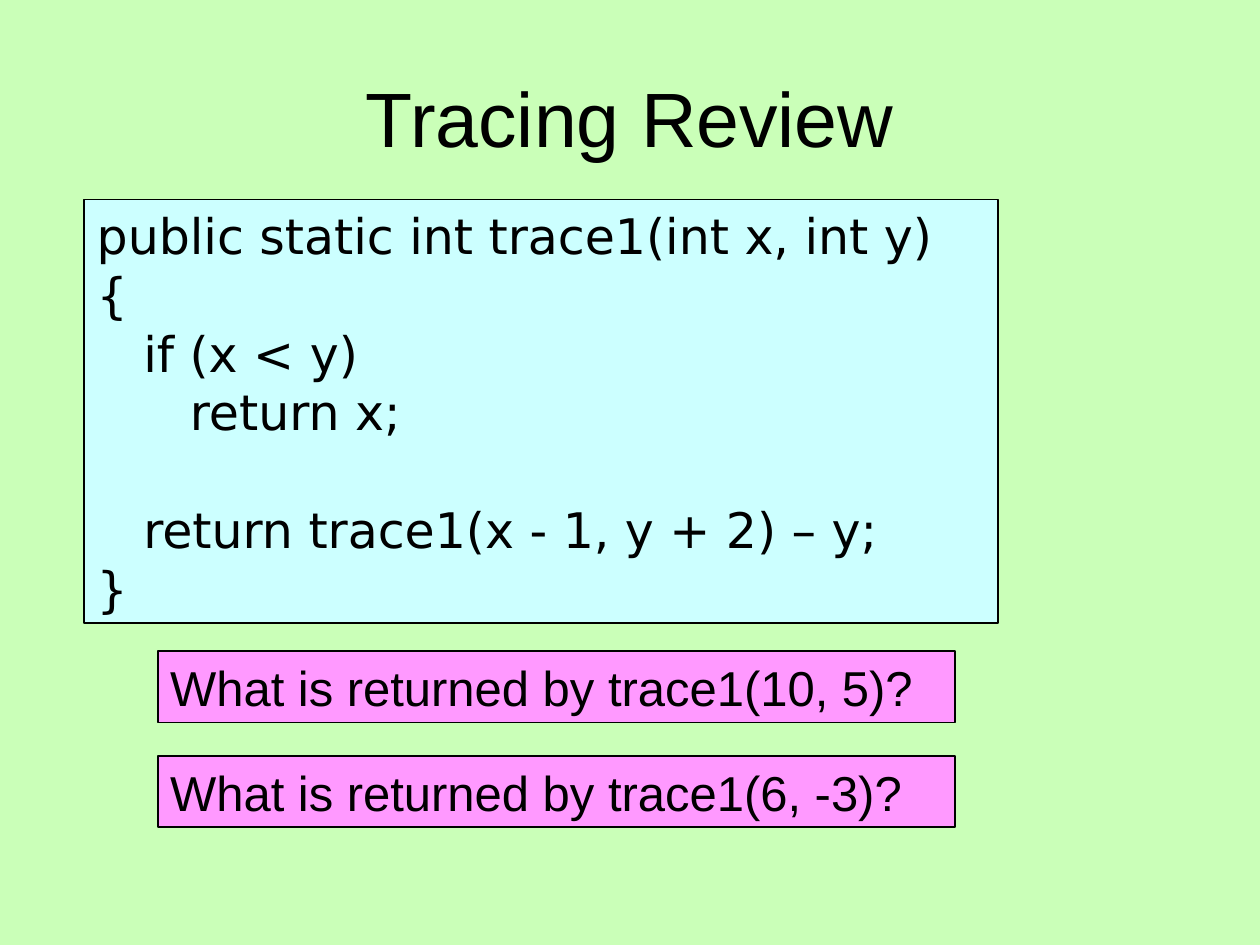
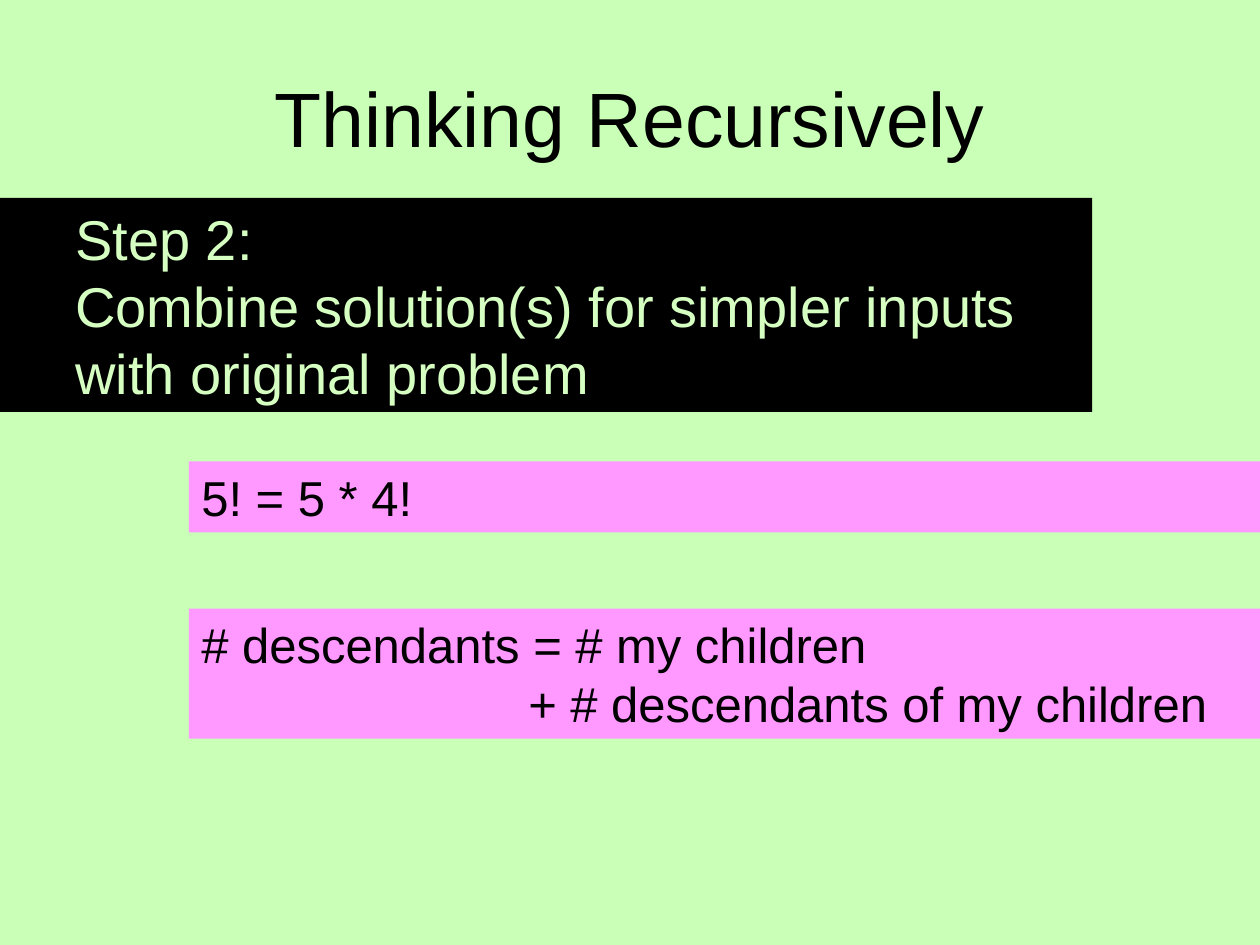
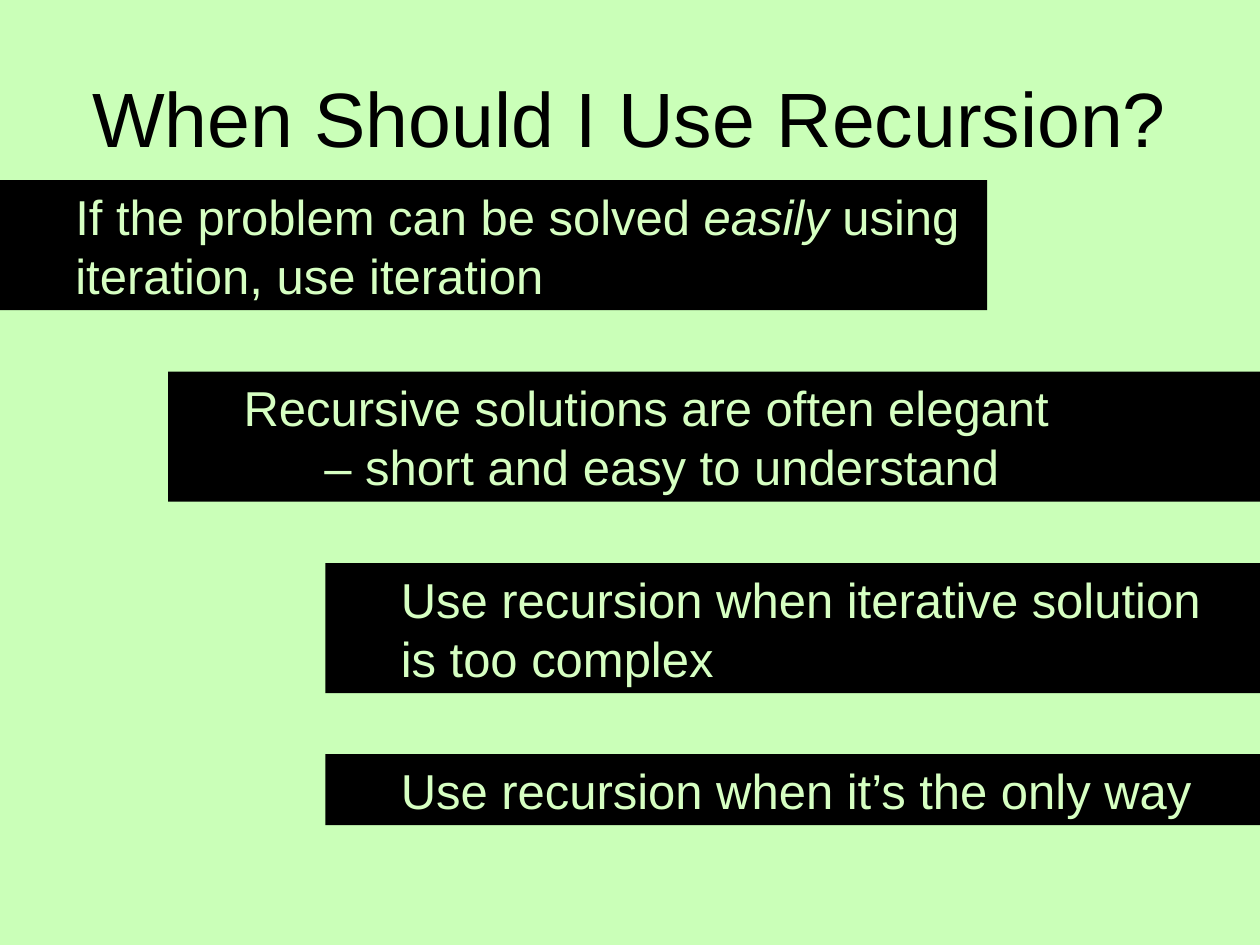
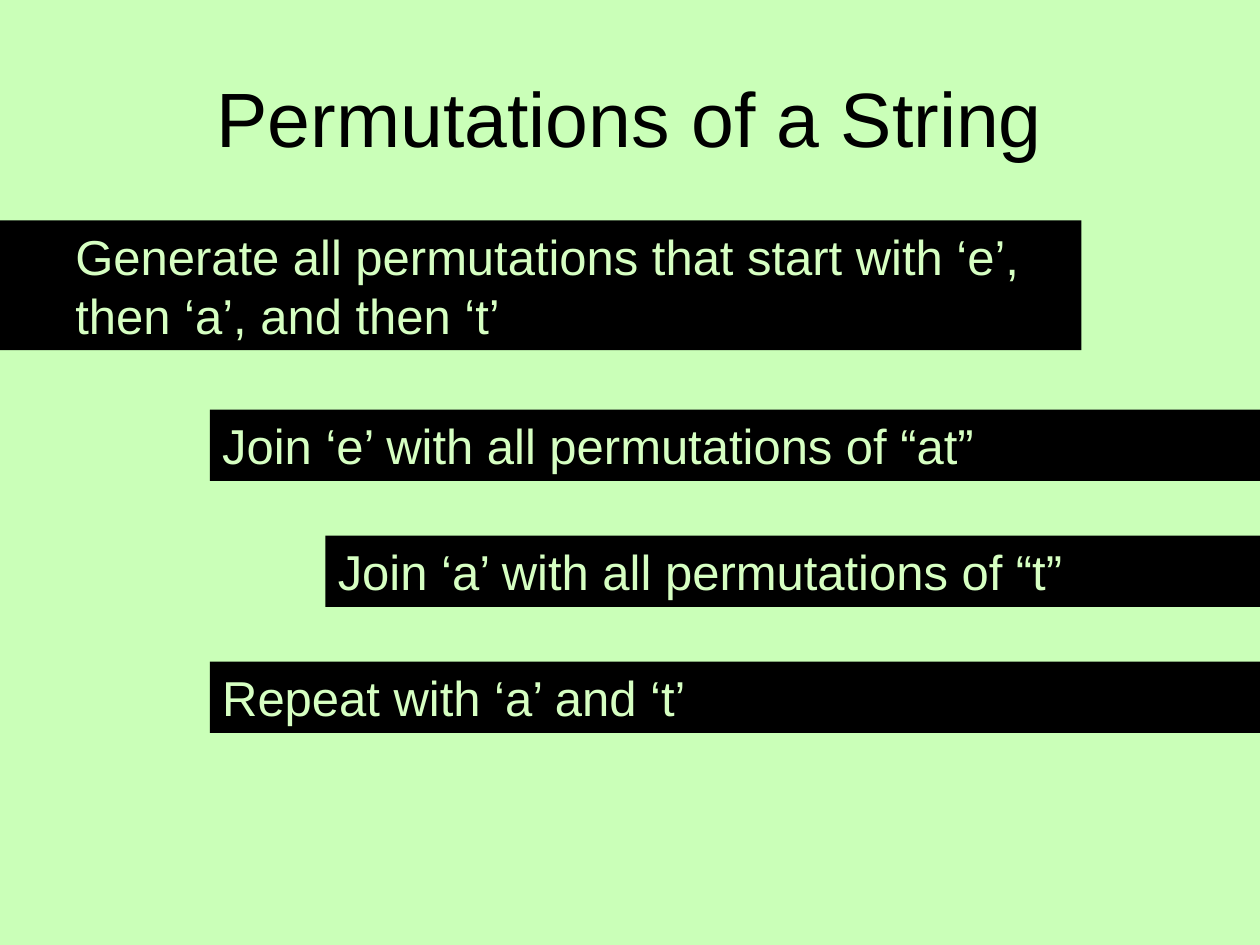
"""Build four slides on recursion: a title above code, question and statement bands."""
import pptx
import pptx.dml.color
import pptx.enum.shapes
import pptx.enum.text
import pptx.util
from pptx.util import Cm, Pt

PAGE_WIDTH, PAGE_HEIGHT = 25.4, 19.05
BACKGROUND = "CAFFB8"
BLACK = "000000"
PINK = "FF99FF"
INSET = 0.25
LINE_FACTOR = 1.2
CODE_STEP = 0.94
MARGIN = 1.27
TOP = pptx.enum.text.MSO_ANCHOR.TOP
MIDDLE = pptx.enum.text.MSO_ANCHOR.MIDDLE

STYLES = {
    "code": dict(fill="CCFFFF", border=BLACK, color=BLACK, font="DejaVu Sans", size=28, anchor=TOP),
    "question": dict(fill=PINK, border=BLACK, color=BLACK, font="Arial", size=28, anchor=TOP),
    "example": dict(fill=PINK, border=None, color=BLACK, font="Arial", size=28, anchor=MIDDLE),
    "point": dict(fill=BLACK, border=None, color="D6FFC2", font="Arial", size=28, anchor=MIDDLE),
    "step": dict(fill=BLACK, border=None, color="D6FFC2", font="Arial", size=32, anchor=MIDDLE),
}

# Each band: style, left, top, width (None reaches the right edge), rows of text,
# and paragraphs as (text, indent, blank rows before); underscores enclose italics.
SLIDES = [
    ("Tracing Review", [
        ("code", 1.7, 4.02, 18.42, 7, [
            ("public static int trace1(int x, int y)", 0, 0),
            ("{", 0, 0),
            ("if (x < y)", CODE_STEP, 0),
            ("return x;", 2 * CODE_STEP, 0),
            ("return trace1(x - 1, y + 2) – y;", CODE_STEP, 1),
            ("}", 0, 0),
        ]),
        ("question", 3.18, 13.13, 16.08, 1, [("What is returned by trace1(10, 5)?", 0, 0)]),
        ("question", 3.18, 15.24, 16.08, 1, [("What is returned by trace1(6, -3)?", 0, 0)]),
    ]),
    ("Thinking Recursively", [
        ("step", 0, 3.99, 22.02, 3, [
            ("Step 2:", MARGIN, 0),
            ("Combine solution(s) for simpler inputs with original problem", MARGIN, 0),
        ]),
        ("example", 3.81, 9.3, None, 1, [("5! = 5 * 4!", 0, 0)]),
        ("example", 3.81, 12.27, None, 2, [
            ("# descendants = # my children", 0, 0),
            ("+ # descendants of my children", 6.59, 0),
        ]),
    ]),
    ("When Should I Use Recursion?", [
        ("point", 0, 3.63, 19.9, 2, [
            ("If the problem can be solved _easily_ using iteration, use iteration", MARGIN, 0),
        ]),
        ("point", 3.39, 7.49, None, 2, [
            ("Recursive solutions are often elegant", MARGIN, 0),
            ("– short and easy to understand", 2.9, 0),
        ]),
        ("point", 6.56, 11.35, None, 2, [
            ("Use recursion when iterative solution is too complex", MARGIN, 0),
        ]),
        ("point", 6.56, 15.2, None, 1, [("Use recursion when it’s the only way", MARGIN, 0)]),
    ]),
    ("Permutations of a String", [
        ("point", 0, 4.44, 21.8, 2, [
            ("Generate all permutations that start with ‘e’, then ‘a’, and then ‘t’", MARGIN, 0),
        ]),
        ("point", 4.23, 8.26, None, 1, [("Join ‘e’ with all permutations of “at”", 0, 0)]),
        ("point", 6.56, 10.8, None, 1, [("Join ‘a’ with all permutations of “t”", 0, 0)]),
        ("point", 4.23, 13.34, None, 1, [("Repeat with ‘a’ and ‘t’", 0, 0)]),
    ]),
]


def rgb(value):
    """Return the colour for a hex string."""
    return pptx.dml.color.RGBColor.from_string(value)


def write(paragraph, text, font, size, color):
    """Fill a paragraph with text, setting the parts between underscores in italics."""
    for index, part in enumerate(text.split("_")):
        span = paragraph.add_run()
        span.text = part
        if index % 2:
            span.font.italic = True
    paragraph.font.name = font
    paragraph.font.size = Pt(size)
    paragraph.font.color.rgb = rgb(color)
    paragraph.line_spacing = Pt(size * LINE_FACTOR)


def add_title(page, text):
    """Add the centred slide title."""
    box = page.shapes.add_textbox(Cm(1.27), Cm(0.76), Cm(22.86), Cm(3.18))
    frame = box.text_frame
    frame.word_wrap = True
    frame.vertical_anchor = MIDDLE
    para = frame.paragraphs[0]
    para.alignment = pptx.enum.text.PP_ALIGN.CENTER
    write(para, text, "Arial", 44, BLACK)


def add_band(page, style_name, left, top, width, rows, paragraphs):
    """Add a filled band whose height follows its rows of text."""
    style = STYLES[style_name]
    pitch = Pt(style["size"] * LINE_FACTOR)
    box = page.shapes.add_shape(
        pptx.enum.shapes.MSO_SHAPE.RECTANGLE, Cm(left), Cm(top),
        Cm(width or PAGE_WIDTH - left), rows * pitch + Cm(INSET))
    box.shadow.inherit = False
    box.fill.solid()
    box.fill.fore_color.rgb = rgb(style["fill"])
    if style["border"]:
        box.line.color.rgb = rgb(style["border"])
        box.line.width = Pt(1)
    else:
        box.line.fill.background()
    frame = box.text_frame
    frame.word_wrap = True
    frame.auto_size = pptx.enum.text.MSO_AUTO_SIZE.SHAPE_TO_FIT_TEXT
    frame.vertical_anchor = style["anchor"]
    for index, (text, indent, gap) in enumerate(paragraphs):
        para = frame.add_paragraph() if index else frame.paragraphs[0]
        para.alignment = pptx.enum.text.PP_ALIGN.LEFT
        write(para, text, style["font"], style["size"], style["color"])
        if gap:
            para.space_before = gap * pitch
        if indent:
            para._p.get_or_add_pPr().set("marL", str(Cm(indent)))


def build():
    """Build and save the deck."""
    deck = pptx.Presentation()
    deck.slide_width, deck.slide_height = Cm(PAGE_WIDTH), Cm(PAGE_HEIGHT)
    fill = deck.slide_master.background.fill
    fill.solid()
    fill.fore_color.rgb = rgb(BACKGROUND)
    for title, bands in SLIDES:
        page = deck.slides.add_slide(deck.slide_layouts[6])
        add_title(page, title)
        for band in bands:
            add_band(page, *band)
    deck.save("out.pptx")


build()
